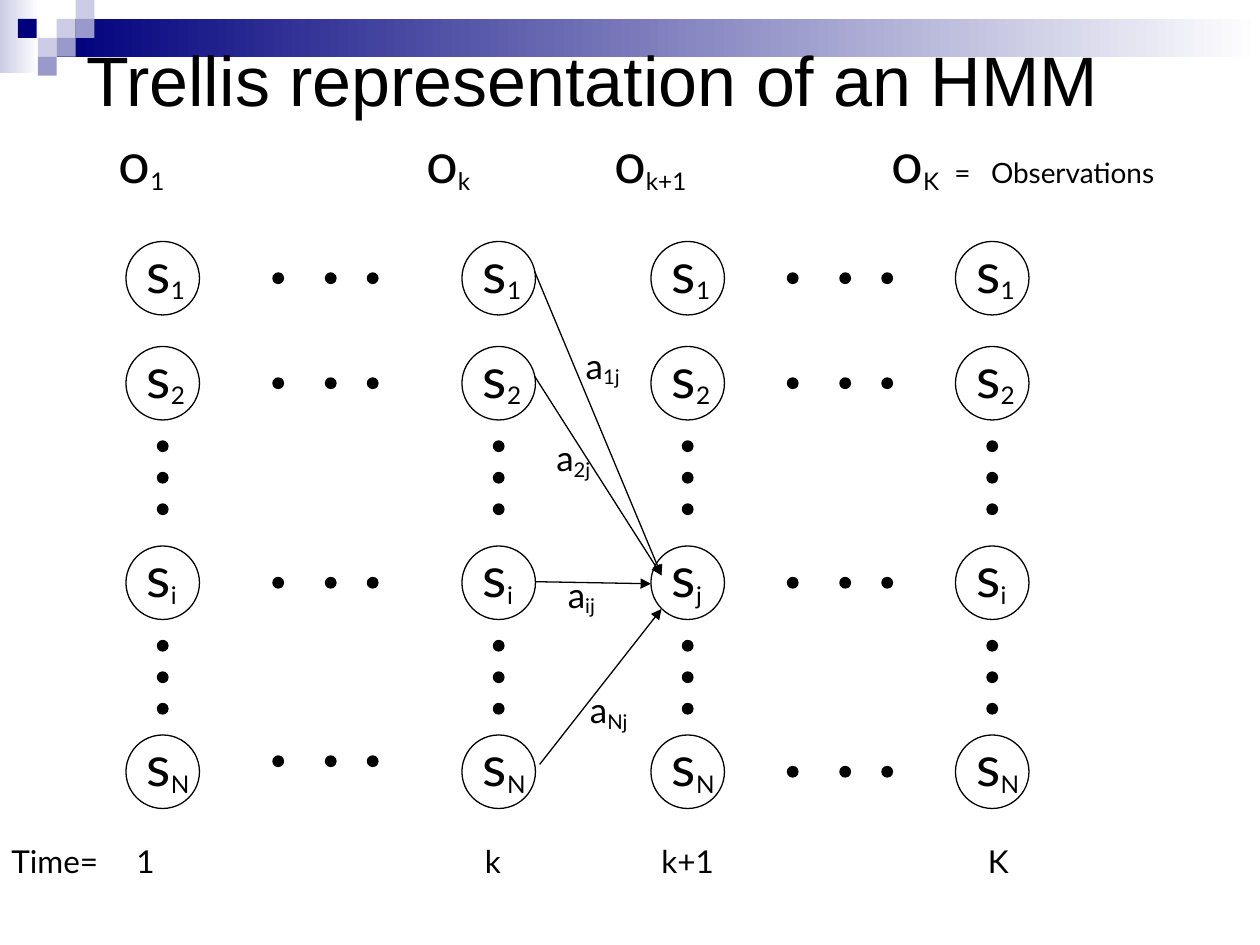
from lxml import etree
from pptx import Presentation
from pptx import util as u
from pptx.dml.color import RGBColor
from pptx.enum import shapes as sh, text as tx
from pptx.oxml.ns import qn

PX = 7620  # 120 px to the inch
INK = {"black": "000000", "white": "FFFFFF", "navy": "00007D",
       "mid": "9999CC", "pale": "CCCCE6"}

TITLE = "Trellis representation of an HMM"
FADES = [((0, 0, 37, 70), "pale"), ((54, 18, 1146, 36), "navy")]
TILE = 18
TILES = [(54, 18, "pale"), (72, 0, "pale"), (72, 18, "mid"), (36, 36, "pale"),
         (17, 18, "navy"), (54, 36, "mid"), (36, 54, "mid")]

NODE, DOT = 70, 10
MID = (NODE - DOT) // 2
COLS = [(120, "12iN"), (440, "12iN"), (620, "12jN"), (910, "12iN")]
ROWS = [230, 330, 520, 700]
WIDTHS = {"1": 62, "2": 62, "i": 55, "j": 55, "N": 67}
GAPS = [420, 610]  # first dot of each vertical run
STEP = 30
RUNS = [(750, [260, 360, 550, 730]), (260, [260, 360, 550, 720])]
OFFSETS = [0, 50, 90]

ARROWS = [(509, 258, 630, 548), (509, 358, 630, 548),
          (510, 554, 620, 556), (514, 728, 630, 580)]
COSTS = [("1j", 546, 322, 59), ("2j", 518, 410, 59),
         ("ij", 529, 540, 53), ("Nj", 550, 650, 62)]

# Runs are (text, size, is subscript)
TIMES = [("Time=\t1\tk\tk+1\tK", 18, False)]
TIME_TABS = [119, 451, 619, 930]
SEEN = [("\t", 16, False), ("o", 32, False), ("1\t", 24, True),
        ("o", 32, False), ("k", 24, True), ("\t", 16, False),
        ("o", 32, False), ("k+1\t", 24, True), ("o", 32, False),
        ("K", 24, True), ("\t=\tObservations", 16, False)]
SEEN_TABS = [25, 318, 497, 761, 821, 856]

prs = Presentation()
prs.slide_width, prs.slide_height = 1200 * PX, 900 * PX
slide = prs.slides.add_slide(prs.slide_layouts[5])


def rgb(name):
    return RGBColor.from_string(INK[name])


def box(home, kind, at, fill=None, line=None):
    part = home.shapes.add_shape(kind, *[n * PX for n in at])
    part.shadow.inherit = False
    if fill:
        part.fill.solid()
        part.fill.fore_color.rgb = rgb(fill)
    else:
        part.fill.background()
    if line:
        part.line.color.rgb = rgb(line)
        part.line.width = u.Pt(0.75)
    else:
        part.line.fill.background()
    return part


def dot(home, x, y):
    box(home, sh.MSO_SHAPE.OVAL, (x, y, DOT, DOT), "black", "black")


def write(frame, runs, font="Lato", tabs=()):
    para = frame.paragraphs[0]
    para.alignment = tx.PP_ALIGN.LEFT
    if tabs:
        stops = etree.SubElement(para._p.get_or_add_pPr(), qn("a:tabLst"))
        for pos in tabs:
            etree.SubElement(stops, qn("a:tab"), pos=str(pos * PX), algn="l")
    for words, size, sub in runs:
        run = para.add_run()
        run.text = words
        run.font.size = u.Pt(size)
        run.font.name = font
        run.font.color.rgb = rgb("black")
        if sub:
            run._r.get_or_add_rPr().set("baseline", "-16000")


def label(home, at, runs, wrap=False, tabs=()):
    frame = home.shapes.add_textbox(*[n * PX for n in at]).text_frame
    frame.word_wrap = wrap
    frame.auto_size = tx.MSO_AUTO_SIZE.SHAPE_TO_FIT_TEXT
    write(frame, runs, tabs=tabs)


def arrow(*ends):
    link = slide.shapes.add_connector(sh.MSO_CONNECTOR.STRAIGHT,
                                      *[n * PX for n in ends])
    link.line.color.rgb = rgb("black")
    link.line.width = u.Pt(0.75)
    etree.SubElement(link.line._get_or_add_ln(), qn("a:tailEnd"), type="triangle")
    etree.SubElement(link._element.spPr, qn("a:effectLst"))


decor = slide.shapes.add_group_shape()
for at, hue in FADES:
    fill = box(decor, sh.MSO_SHAPE.RECTANGLE, at).fill
    fill.gradient()
    fill.gradient_angle = 0
    for stop, name, pos in zip(fill.gradient_stops, (hue, "white"), (0, 1)):
        stop.color.rgb = rgb(name)
        stop.position = pos
for x, y, hue in TILES:
    box(decor, sh.MSO_SHAPE.RECTANGLE, (x, y, TILE, TILE), hue)

for x, names in COLS:
    col = slide.shapes.add_group_shape()
    for y, name in zip(ROWS, names):
        box(col, sh.MSO_SHAPE.OVAL, (x, y, NODE, NODE), line="black")
        label(col, (x + 8, y - 10, WIDTHS[name], 77),
              [("s", 32, False), (name, 24, True)])
    for top in GAPS:
        for i in range(3):
            dot(col, x + MID, top + i * STEP)

for left, tops in RUNS:
    for y in tops:
        row = slide.shapes.add_group_shape()
        for dx in OFFSETS:
            dot(row, left + dx, y)

for ends in ARROWS:
    arrow(*ends)
for name, x, y, w in COSTS:
    label(slide, (x, y, w, 55), [("a", 20, False), (name, 20, True)])

label(slide, (-1, 796, 993, 48), TIMES, wrap=True, tabs=TIME_TABS)
label(slide, (76, 116, 1124, 77), SEEN, wrap=True, tabs=SEEN_TABS)

title = slide.shapes.title
title.left, title.top, title.width, title.height = [
    n * PX for n in (70, 0, 1020, 150)]
title.text_frame.vertical_anchor = tx.MSO_ANCHOR.MIDDLE
write(title.text_frame, [(TITLE, 40, False)], font="Arial")
slide.shapes._spTree.append(title._element)  # in front of the band

prs.save("out.pptx")
